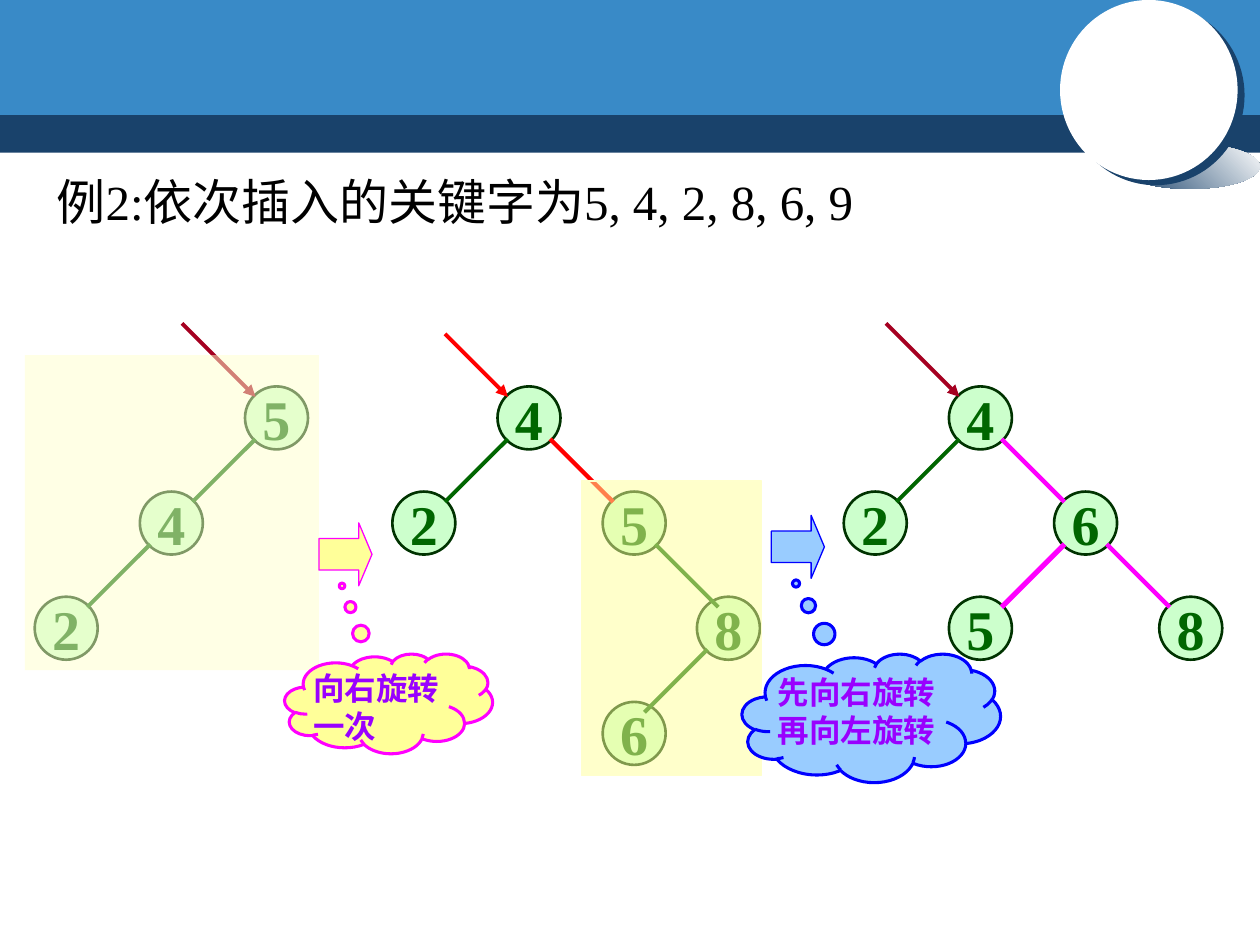
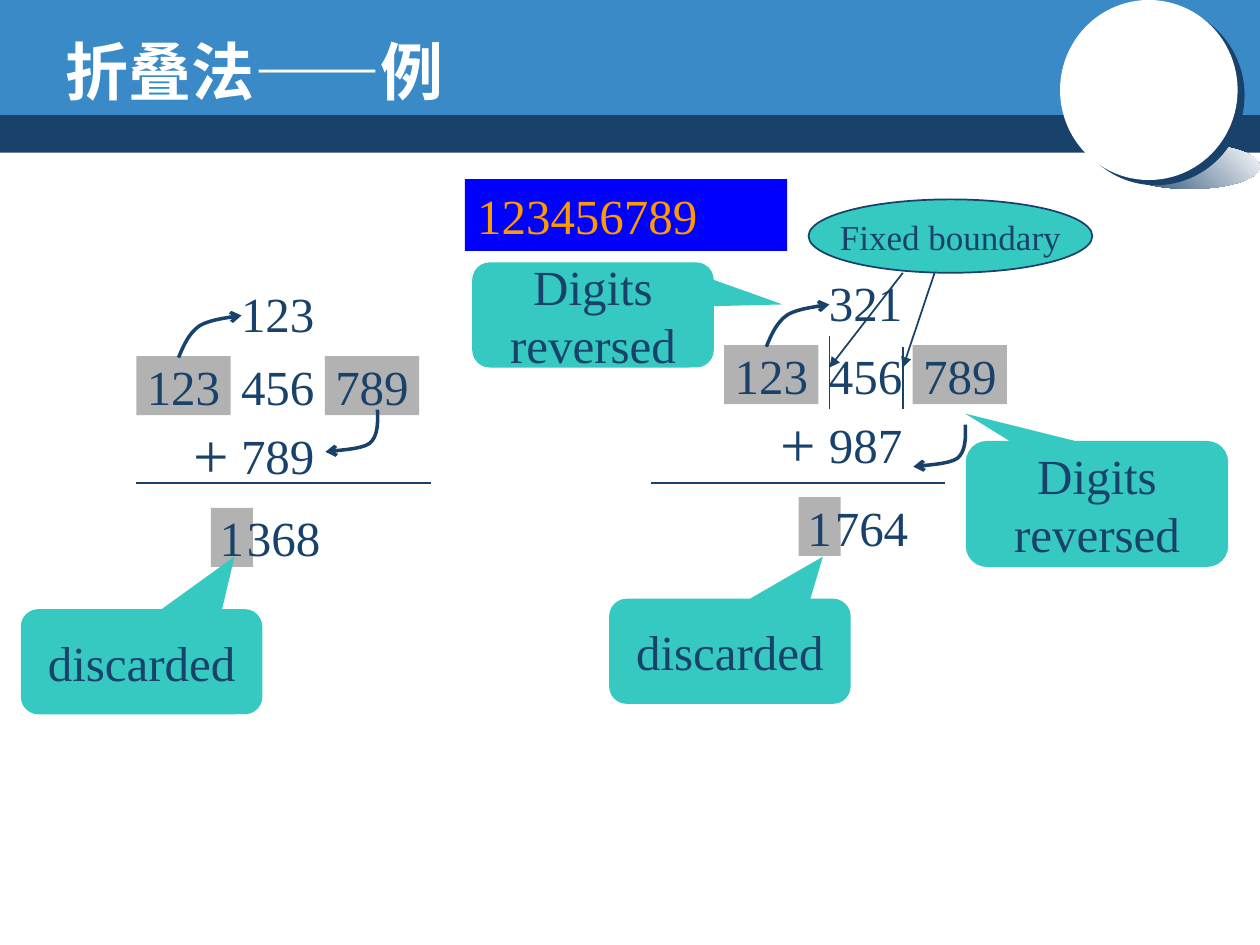
from dataclasses import dataclass
from typing import Optional

from lxml.etree import SubElement
from pptx import Presentation
from pptx.dml.color import RGBColor
from pptx.enum.shapes import MSO_CONNECTOR, MSO_SHAPE
from pptx.enum.text import MSO_ANCHOR, MSO_AUTO_SIZE, PP_ALIGN
from pptx.oxml.ns import qn
from pptx.util import Cm, Pt

HUES = {
    "navy": "19426B", "sky": "398AC7", "white": "FFFFFF", "black": "000000",
    "mint": "CCFFCC", "pine": "003300", "green": "006600", "red": "FF0000",
    "wine": "A50021", "pink": "FF00FF", "lemon": "FFFF99", "cream": "FFFFCC",
    "pale": "99CCFF", "blue": "0000FF", "violet": "9900FF", "teal": "35C9C2",
    "gray": "B2B2B2", "orange": "FF9900",
}
TIMES, SANS, ARIAL = "Times New Roman", "Noto Sans CJK SC", "Arial"
STEP, RUN, NEAR, FAR = 2.12, 1.27, 0.21, 1.06
ROOT_TOP = 7.79
CELL, HIGH = 1.9, 1.19
RISE = [(0, 0.85), (0.1, 0.61), (0.2, 0.37), (0.42, 0.21),
        (0.64, 0.07), (1.13, 0.03), (1.27, 0)]
FALL = [(1.05, 0), (1.06, 0.27), (1.06, 0.54), (0.89, 0.68),
        (0.71, 0.81), (0.15, 0.82), (0, 0.85)]


@dataclass
class Type:
    size: int = 28
    hue: str = "navy"
    face: str = TIMES
    bold: bool = False
    align: PP_ALIGN = PP_ALIGN.CENTER


@dataclass
class Frame:
    anchor: MSO_ANCHOR = MSO_ANCHOR.MIDDLE
    wrap: bool = True
    inset: Optional[float] = None


@dataclass
class Box:
    left: float
    top: float
    width: float
    height: float
    form: MSO_SHAPE = MSO_SHAPE.RECTANGLE
    fill: Optional[str] = None
    edge: Optional[str] = None
    weight: float = 0.75
    tune: tuple = ()
    alpha: Optional[int] = None


@dataclass
class Node:
    key: str
    left: float
    row: int


@dataclass
class Link:
    start: int
    side: int
    hue: str = "green"
    weight: float = 2.25


@dataclass
class Tree:
    nodes: list[Node]
    links: list[Link]
    reach: float = 1.27
    hue: str = "wine"


@dataclass
class Sum:
    left: float
    top: float
    first: str
    last: str
    total: str
    drop: float
    rule: float


def tint(hue: str) -> RGBColor:
    return RGBColor.from_string(HUES[hue])


def write(shape, lines: list[str], kind: Type, frame: Frame) -> None:
    body = shape.text_frame
    body.auto_size = MSO_AUTO_SIZE.NONE
    body.word_wrap = frame.wrap
    body.vertical_anchor = frame.anchor
    if frame.inset is not None:
        for side in ("left", "right", "top", "bottom"):
            setattr(body, f"margin_{side}", Cm(frame.inset))
    for spot, line in enumerate(lines):
        para = body.add_paragraph() if spot else body.paragraphs[0]
        para.alignment = kind.align
        run = para.add_run()
        run.text = line
        font = run.font
        font.size, font.bold, font.name = Pt(kind.size), kind.bold, kind.face
        font.color.rgb = tint(kind.hue)
        SubElement(run.font._element, qn("a:ea"), typeface=SANS)


def draw(slide, box: Box):
    shape = slide.shapes.add_shape(
        box.form, Cm(box.left), Cm(box.top), Cm(box.width), Cm(box.height))
    shape.shadow.inherit = False
    for spot, value in enumerate(box.tune):
        shape.adjustments[spot] = value
    if box.fill:
        shape.fill.solid()
        shape.fill.fore_color.rgb = tint(box.fill)
    else:
        shape.fill.background()
    if box.alpha:
        dye = shape.element.spPr.find(qn("a:solidFill"))[0]
        SubElement(dye, qn("a:alpha"), val=str(box.alpha * 1000))
    if box.edge:
        shape.line.color.rgb = tint(box.edge)
        shape.line.width = Pt(box.weight)
    else:
        shape.line.fill.background()
    return shape


def stroke(shape, hue: str, weight: float, head: str = "") -> None:
    shape.line.color.rgb = tint(hue)
    shape.line.width = Pt(weight)
    props = shape.element.spPr
    if head:
        SubElement(props.find(qn("a:ln")), qn("a:tailEnd"), type=head)
    if props.find(qn("a:effectLst")) is None:
        SubElement(props, qn("a:effectLst"))


def join(slide, x: float, y: float, to_x: float, to_y: float,
         hue: str = "navy", weight: float = 1, head: str = "") -> None:
    line = slide.shapes.add_connector(
        MSO_CONNECTOR.STRAIGHT, Cm(x), Cm(y), Cm(to_x), Cm(to_y))
    stroke(line, hue, weight, head)


def bend(slide, left: float, top: float, knots: list) -> None:
    dots = []
    for base in (0, 3):
        a, b, c, d = knots[base:base + 4]
        for part in range(9):
            t = part / 8
            u = 1 - t
            x, y = (u**3 * p + 3 * u * u * t * q + 3 * u * t * t * r + t**3 * s
                    for p, q, r, s in zip(a, b, c, d))
            dots.append((Cm(left + x), Cm(top + y)))
    path = slide.shapes.build_freeform(*dots[0])
    path.add_line_segments(dots[1:], close=False)
    curve = path.convert_to_shape()
    curve.shadow.inherit = False
    curve.fill.background()
    stroke(curve, "navy", 2, "arrow")


def head(slide, box: Box, text: str, kind: Type, wrap: bool) -> None:
    title = slide.shapes.title
    title.left, title.top = Cm(box.left), Cm(box.top)
    title.width, title.height = Cm(box.width), Cm(box.height)
    write(title, [text], kind, Frame(MSO_ANCHOR.TOP, wrap))


def brand(slide, layout) -> None:
    for holder in list(layout.placeholders)[1:]:
        holder.element.getparent().remove(holder.element)
    oval = MSO_SHAPE.OVAL
    parts = [draw(slide, box) for box in (
        Box(0, 2.21, 25.4, 0.87, fill="navy"),
        Box(0, 0, 25.4, 2.32, fill="sky"),
        Box(22.58, 2.9, 2.82, 0.91, oval, "navy"),
        Box(21.37, 0, 3.58, 3.63, oval, "white"))]
    fade = parts[2].fill
    fade.gradient()
    fade.gradient_angle = 45
    for stop, hue in zip(fade.gradient_stops, ("navy", "white")):
        stop.color.rgb = tint(hue)
    glow = SubElement(parts[3].element.spPr.find(qn("a:effectLst")),
                      qn("a:outerShdw"), blurRad="0", dist=str(Pt(5)),
                      dir=str(37 * 60000), algn="ctr", rotWithShape="0")
    SubElement(glow, qn("a:srgbClr"), val=HUES["navy"])
    for spot, part in enumerate(parts, 2):
        layout.shapes.element.insert(spot, part.element)


def grow(slide, tree: Tree) -> None:
    for node in tree.nodes:
        disc = draw(slide, Box(node.left, ROOT_TOP + node.row * STEP, 1.27, 1.27,
                               MSO_SHAPE.OVAL, "mint", "pine", 1.5))
        write(disc, [node.key], Type(32, "green", bold=True), Frame(wrap=False))
    for link in tree.links:
        node = tree.nodes[link.start]
        x = node.left + (FAR if link.side > 0 else NEAR)
        y = ROOT_TOP + node.row * STEP + FAR
        join(slide, x, y, x + link.side * RUN, y + RUN, link.hue, link.weight)
    root = tree.nodes[0].left
    join(slide, root - tree.reach, ROOT_TOP - tree.reach, root + NEAR,
         ROOT_TOP + NEAR, tree.hue, 2.25, "triangle")


def card(slide, left: float, top: float, text: str,
         fill: Optional[str] = None, width: float = CELL) -> None:
    shape = draw(slide, Box(left, top, width, HIGH, fill=fill))
    write(shape, [text], Type(), Frame(MSO_ANCHOR.TOP, inset=0))


def fold(slide, item: Sum) -> None:
    x, y = item.left, item.top
    for col, row, text, fill in ((1, 0, item.first, None),
                                 (0, 1.46, "123", "gray"),
                                 (1, 1.46, "456", None),
                                 (2, 1.46, "789", "gray"),
                                 (1, 2.85, item.last, None)):
        card(slide, x + col * CELL, y + row, text, fill)
    card(slide, x + 1.5, y + 4.52, "1", "gray", 0.85)
    card(slide, x + 2.12, y + 4.52, item.total, width=1.7)
    bend(slide, x + 0.85, y + 0.64, RISE)
    bend(slide, x + 3.81, y + item.drop, FALL)
    join(slide, item.rule, 9.73, item.rule + 5.93, 9.73)
    plus = draw(slide, Box(x + 0.89, y + 2.53, 1.22, 1.78))
    write(plus, ["+"], Type(36), Frame(MSO_ANCHOR.TOP, False))


def trees(slide) -> None:
    head(slide, Box(0.89, 3.33, 16.59, 2.6), "例2:依次插入的关键字为5, 4, 2, 8, 6, 9",
         Type(hue="black", align=PP_ALIGN.LEFT), True)
    grow(slide, Tree([Node("5", 4.94, 0), Node("4", 2.82, 1), Node("2", 0.7, 2)],
                     [Link(0, -1), Link(1, -1)]))
    draw(slide, Box(0.5, 7.16, 5.93, 6.35, fill="cream", alpha=50))
    grow(slide, Tree([Node("4", 10.03, 0), Node("2", 7.91, 1), Node("5", 12.15, 1),
                      Node("8", 14.05, 2), Node("6", 12.15, 3)],
                     [Link(0, -1), Link(0, 1, "red", 2.5), Link(2, 1), Link(3, -1)],
                     1.06, "red"))
    draw(slide, Box(11.72, 9.7, 3.63, 5.93, fill="lemon", edge="cream", alpha=50))
    grow(slide, Tree([Node("4", 19.13, 0), Node("2", 17.01, 1), Node("6", 21.25, 1),
                      Node("5", 19.13, 2), Node("8", 23.37, 2)],
                     [Link(0, -1), Link(0, 1, "pink", 2.5), Link(2, -1, "pink", 3),
                      Link(2, 1, "pink", 2.5)]))
    for left, top, fill, edge in ((6.43, 10.54, "lemon", "pink"),
                                  (15.55, 10.39, "pale", "blue")):
        draw(slide, Box(left, top, 1.07, 1.27, MSO_SHAPE.RIGHT_ARROW, fill, edge,
                        tune=(0.5, 0.25)))
    cloud = MSO_SHAPE.CLOUD_CALLOUT
    for box, lines in (
            (Box(5.74, 13.18, 4.19, 2.01, cloud, "lemon", "pink", 1.75,
                 (-0.224, -1.181)), ["向右旋转", "一次"]),
            (Box(14.96, 13.18, 5.21, 2.59, cloud, "pale", "blue", 1.75,
                 (-0.291, -1.047)), ["先向右旋转", "再向左旋转"])):
        write(draw(slide, box), lines,
              Type(18, "violet", ARIAL, True, PP_ALIGN.LEFT),
              Frame(MSO_ANCHOR.TOP, inset=0))


def folds(slide) -> None:
    head(slide, Box(1.07, 0.53, 8.23, 1.8), "折叠法——例",
         Type(36, "white", SANS, True, PP_ALIGN.LEFT), False)
    bar = draw(slide, Box(9.37, 3.61, 6.5, 1.45, fill="blue"))
    write(bar, ["123456789"], Type(hue="orange", align=PP_ALIGN.LEFT), Frame())
    fold(slide, Sum(2.75, 5.72, "123", "789", "368", 2.54, 2.75))
    fold(slide, Sum(14.6, 5.5, "321", "987", "764", 3.06, 13.12))
    for left, top, width, height, x, y, text in (
            (0.42, 12.28, 4.87, 2.12, 0.385, -1, "discarded"),
            (12.28, 12.07, 4.87, 2.12, 0.385, -0.9, "discarded"),
            (9.52, 5.29, 4.87, 2.12, 0.785, -0.1, "Digits reversed"),
            (19.47, 8.89, 5.29, 2.54, -0.502, -0.717, "Digits reversed")):
        note = draw(slide, Box(left, top, width, height,
                               MSO_SHAPE.ROUNDED_RECTANGULAR_CALLOUT, "teal",
                               tune=(x, y, 0.167)))
        write(note, [text], Type(), Frame())
    oval = draw(slide, Box(16.3, 4.02, 5.72, 1.48, MSO_SHAPE.OVAL, "teal", "navy", 1))
    write(oval, ["Fixed boundary"], Type(20), Frame(wrap=False))
    for start, edge, top in ((18.2, 16.72, 6.77), (18.84, 18.2, 6.99)):
        join(slide, start, 5.5, edge, 7.41, head="triangle")
        join(slide, edge, top, edge, 8.25)


def main() -> None:
    deck = Presentation()
    deck.slide_width, deck.slide_height = Cm(25.4), Cm(19.05)
    layout = deck.slide_layouts[5]
    first, second = (deck.slides.add_slide(layout) for _ in range(2))
    brand(first, layout)
    trees(first)
    folds(second)
    deck.save("out.pptx")


if __name__ == "__main__":
    main()
